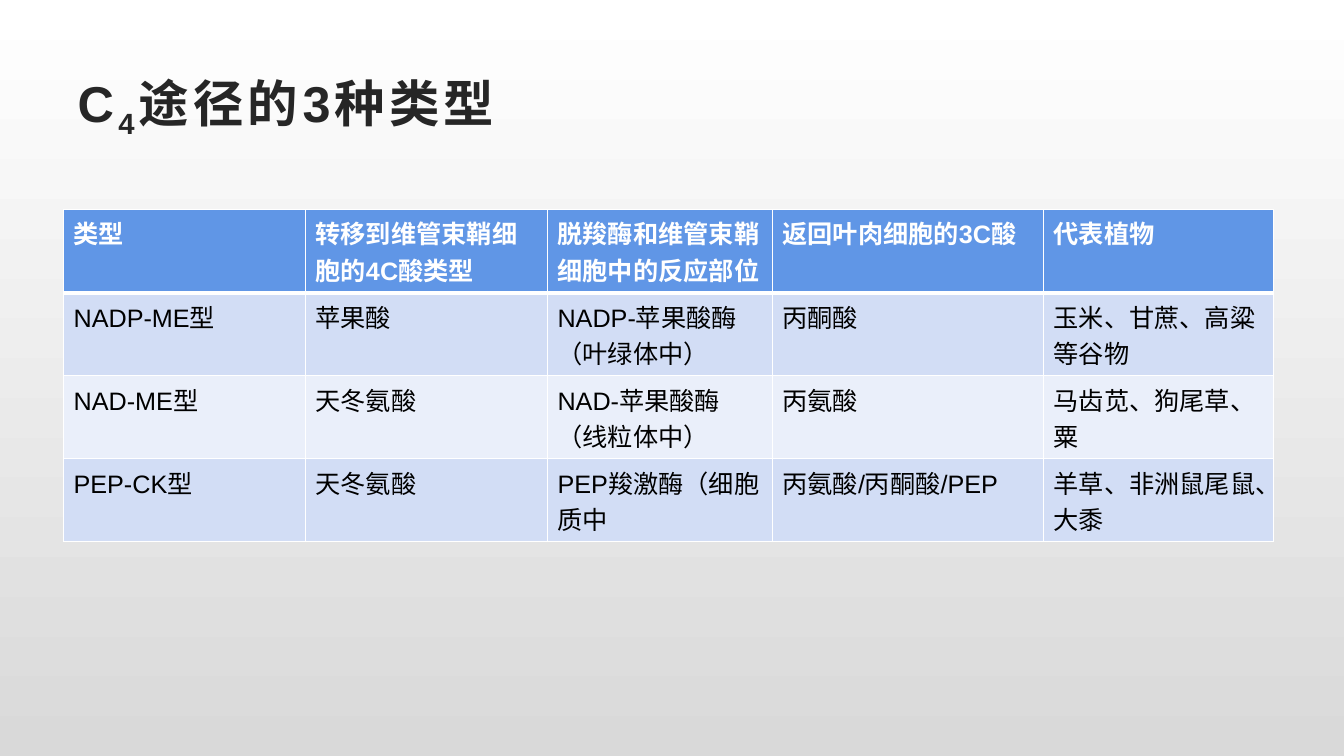
from lxml import etree
from pptx import Presentation
from pptx import util as u
from pptx.dml.color import RGBColor
from pptx.enum import lang, text
from pptx.oxml import ns

WHITE = RGBColor(0xFF, 0xFF, 0xFF)
BLACK = RGBColor(0, 0, 0)
INK = RGBColor(0x26, 0x26, 0x26)
SILVER = RGBColor(0xD9, 0xD9, 0xD9)
HEADER_BLUE = RGBColor(0x60, 0x96, 0xE6)
BANDS = [RGBColor(0xD2, 0xDD, 0xF5), RGBColor(0xEA, 0xEF, 0xFA)]

FONT = "Arial"
TITLE_BOX = (0.67, 0.67, 12, 0.77)
TABLE_BOX = (0.63, 2.08, 12, 1.68)
COLUMN_WIDTHS = [2.4, 2.4, 2.23, 2.69, 2.28]
TITLE_RUNS = [("C", 0), ("4", -25), ("途径的3种类型", 0)]
C4_TYPES = [
    ["类型", "转移到维管束鞘细胞的4C酸类型", "脱羧酶和维管束鞘细胞中的反应部位",
     "返回叶肉细胞的3C酸", "代表植物"],
    ["NADP-ME型", "苹果酸", "NADP-苹果酸酶（叶绿体中）", "丙酮酸", "玉米、甘蔗、高粱等谷物"],
    ["NAD-ME型", "天冬氨酸", "NAD-苹果酸酶（线粒体中）", "丙氨酸", "马齿苋、狗尾草、粟"],
    ["PEP-CK型", "天冬氨酸", "PEP羧激酶（细胞质中", "丙氨酸/丙酮酸/PEP", "羊草、非洲鼠尾鼠、大黍"],
]


def add_run(paragraph, words, size, color, bold):
    run = paragraph.add_run()
    run.text = words
    font = run.font
    font.name, font.size, font.bold = FONT, u.Pt(size), bold
    font.color.rgb = color
    font.language_id = lang.MSO_LANGUAGE_ID.SIMPLIFIED_CHINESE
    return run


def paint_background(slide):
    fill = slide.background.fill
    fill.gradient()
    fill.gradient_angle = 270
    for stop, color, position in zip(fill.gradient_stops, (WHITE, SILVER), (0, 1)):
        stop.color.rgb = color
        stop.position = position


def place_title(slide, box):
    title = slide.shapes.title
    title.left, title.top, title.width, title.height = map(u.Inches, box)
    frame = title.text_frame
    frame.word_wrap = True
    frame.auto_size = text.MSO_AUTO_SIZE.NONE
    frame.vertical_anchor = text.MSO_ANCHOR.MIDDLE
    heading = frame.paragraphs[0]
    heading.alignment = text.PP_ALIGN.LEFT
    for words, baseline in TITLE_RUNS:
        properties = add_run(heading, words, 36, INK, True).font._element
        properties.set("spc", "300")
        if baseline:
            properties.set("baseline", str(baseline * 1000))


def border_cell(cell, bottom_width):
    """Draw white cell edges; the schema wants them ahead of the fill."""
    properties = cell._tc.get_or_add_tcPr()
    widths = {"a:lnL": 1, "a:lnR": 1, "a:lnT": 1, "a:lnB": bottom_width}
    for position, (edge, width) in enumerate(widths.items()):
        line = etree.Element(ns.qn(edge), w=str(u.Pt(width)))
        solid = etree.SubElement(line, ns.qn("a:solidFill"))
        etree.SubElement(solid, ns.qn("a:srgbClr"), val=str(WHITE))
        properties.insert(position, line)


def place_type_table(slide, box):
    table = slide.shapes.add_table(len(C4_TYPES), len(COLUMN_WIDTHS),
                                   *map(u.Inches, box)).table
    for column, width in zip(table.columns, COLUMN_WIDTHS):
        column.width = u.Inches(box[2] * width / sum(COLUMN_WIDTHS))
    for r, entries in enumerate(C4_TYPES):
        header = r == 0
        for c, words in enumerate(entries):
            cell = table.cell(r, c)
            cell.fill.solid()
            cell.fill.fore_color.rgb = HEADER_BLUE if header else BANDS[(r - 1) % 2]
            border_cell(cell, 3 if header else 1)
            add_run(cell.text_frame.paragraphs[0], words, 18,
                    WHITE if header else BLACK, header)
        # The edge under the header is shared with the first body row
        if r == 1:
            for c in range(len(entries)):
                edge = table.cell(r, c)._tc.tcPr.find(ns.qn("a:lnT"))
                edge.set("w", str(u.Pt(3)))


def main():
    deck = Presentation()
    deck.slide_width, deck.slide_height = u.Inches(13.33), u.Inches(7.5)
    slide = deck.slides.add_slide(deck.slide_layouts[5])
    paint_background(slide)
    place_title(slide, TITLE_BOX)
    place_type_table(slide, TABLE_BOX)
    deck.save("out.pptx")


if __name__ == "__main__":
    main()
